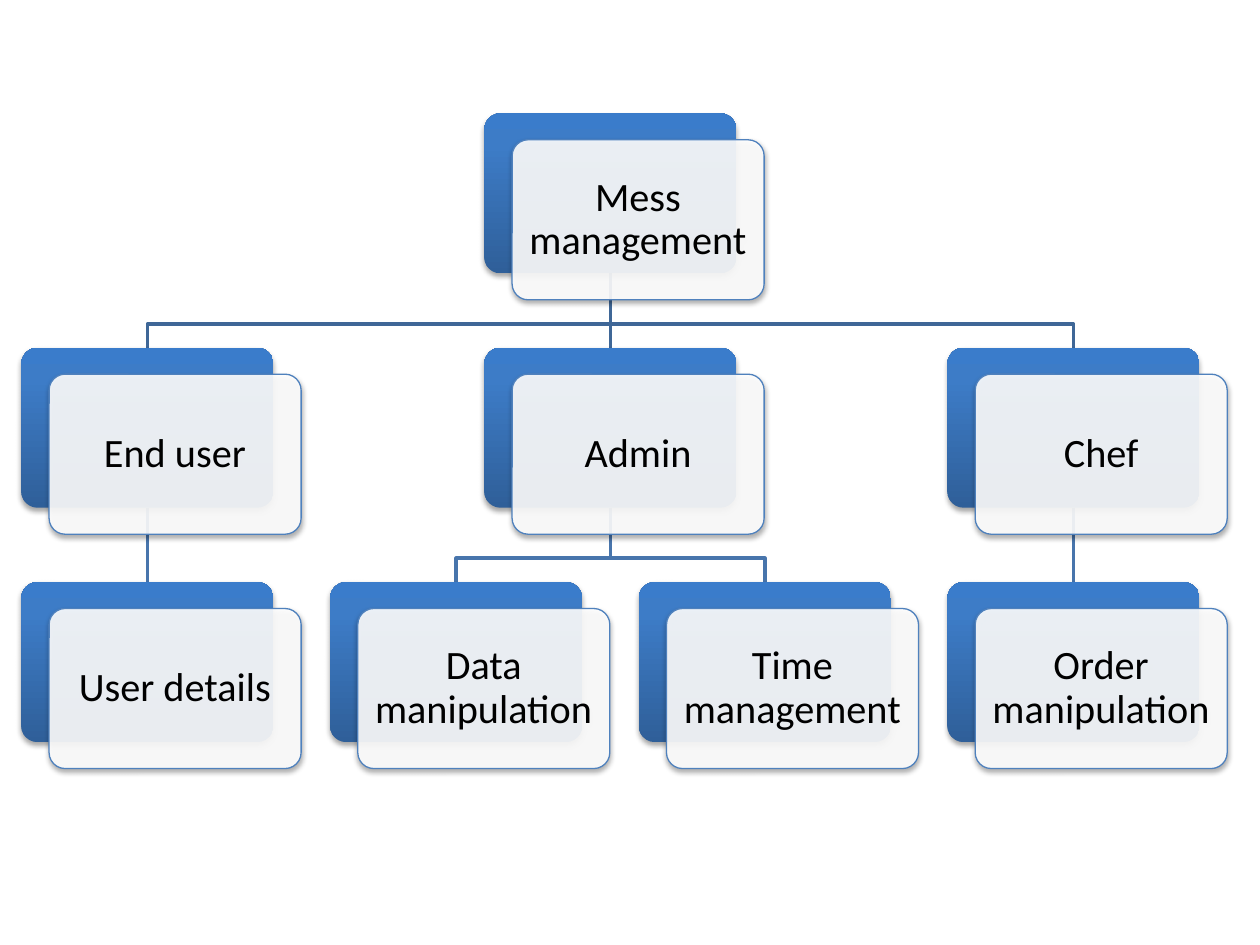
"""Build an organisation chart slide for mess management."""
from dataclasses import dataclass
from typing import Optional

from lxml.etree import SubElement
from pptx import Presentation
from pptx.dml.color import RGBColor
from pptx.enum.shapes import MSO_CONNECTOR, MSO_SHAPE
from pptx.enum.text import MSO_ANCHOR, PP_ALIGN
from pptx.oxml.ns import qn
from pptx.shapes.autoshape import Shape
from pptx.slide import Slide
from pptx.util import Inches, Pt

BLACK = RGBColor(0x00, 0x00, 0x00)
WHITE = RGBColor(0xFF, 0xFF, 0xFF)
CARD_BORDER = RGBColor(0x4F, 0x81, 0xBD)
LINK_COLORS = (RGBColor(0x3F, 0x67, 0x97), RGBColor(0x48, 0x75, 0xAC))
GRADIENT_STOPS = (
    (0, RGBColor(0x2F, 0x5F, 0x99)),
    (80, RGBColor(0x3D, 0x7C, 0xC7)),
    (100, RGBColor(0x3A, 0x7C, 0xCB)),
)

LEFT, TOP = 0.17, 0.9
COLUMN_PITCH, ROW_PITCH = 2.45, 1.86
BOX_WIDTH, BOX_HEIGHT = 2.0, 1.27
CARD_OFFSET_X, CARD_OFFSET_Y = 0.22, 0.21
BEND_DROP = 0.4


@dataclass(frozen=True)
class Node:
    label: str
    column: float
    row: int
    parent: Optional["Node"] = None

    @property
    def left(self) -> float:
        return LEFT + self.column * COLUMN_PITCH

    @property
    def top(self) -> float:
        return TOP + self.row * ROW_PITCH

    @property
    def center(self) -> float:
        return self.left + BOX_WIDTH / 2


ROOT = Node("Mess management", 1.5, 0)
END_USER = Node("End user", 0, 1, ROOT)
ADMIN = Node("Admin", 1.5, 1, ROOT)
CHEF = Node("Chef", 3, 1, ROOT)
NODES = (
    ROOT,
    END_USER,
    Node("User details", 0, 2, END_USER),
    ADMIN,
    Node("Data manipulation", 1, 2, ADMIN),
    Node("Time management", 2, 2, ADMIN),
    CHEF,
    Node("Order manipulation", 3, 2, CHEF),
)


def add_link(slide: Slide, parent: Node, child: Node) -> None:
    start_y = parent.top + BOX_HEIGHT
    start = Inches(parent.center), Inches(start_y)
    end = Inches(child.center), Inches(child.top)
    if parent.column == child.column:
        link = slide.shapes.add_connector(MSO_CONNECTOR.STRAIGHT, *start, *end)
        SubElement(link._element.spPr, qn("a:effectLst"))
    else:
        bend_y = Inches(start_y + BEND_DROP)
        builder = slide.shapes.build_freeform(*start)
        builder.add_line_segments([(start[0], bend_y), (end[0], bend_y), end], close=False)
        link = builder.convert_to_shape()
        link.fill.background()
        link.shadow.inherit = False
    link.line.color.rgb = LINK_COLORS[parent.row]
    link.line.width = Pt(2)


def add_shadow(shape: Shape) -> None:
    shape.shadow.inherit = False
    effects = shape._element.spPr.find(qn("a:effectLst"))
    shadow = SubElement(effects, qn("a:outerShdw"), blurRad=str(Pt(3.1)),
                        dist=str(Pt(1.8)), dir="5400000", rotWithShape="0")
    color = SubElement(shadow, qn("a:srgbClr"), val=str(BLACK))
    SubElement(color, qn("a:alpha"), val="35000")


def add_box(slide: Slide, left: float, top: float) -> Shape:
    box = slide.shapes.add_shape(MSO_SHAPE.ROUNDED_RECTANGLE, Inches(left), Inches(top),
                                 Inches(BOX_WIDTH), Inches(BOX_HEIGHT))
    box.adjustments[0] = 0.1
    add_shadow(box)
    return box


def fill_gradient(shape: Shape) -> None:
    shape.fill.gradient()
    shape.fill.gradient_angle = 90
    stops = shape._element.spPr.find(qn("a:gradFill")).find(qn("a:gsLst"))
    for stop in list(stops):
        stops.remove(stop)
    for position, color in GRADIENT_STOPS:
        stop = SubElement(stops, qn("a:gs"), pos=str(position * 1000))
        SubElement(stop, qn("a:srgbClr"), val=str(color))


def add_node(slide: Slide, node: Node) -> None:
    back = add_box(slide, node.left, node.top)
    fill_gradient(back)
    back.line.fill.background()

    card = add_box(slide, node.left + CARD_OFFSET_X, node.top + CARD_OFFSET_Y)
    card.fill.solid()
    card.fill.fore_color.rgb = WHITE
    color = card._element.spPr.find(qn("a:solidFill")).find(qn("a:srgbClr"))
    SubElement(color, qn("a:alpha"), val="90000")
    card.line.color.rgb = CARD_BORDER
    card.line.width = Pt(0.75)

    frame = card.text_frame
    frame.word_wrap = True
    frame.vertical_anchor = MSO_ANCHOR.MIDDLE
    frame.margin_left = frame.margin_right = Inches(0.09)
    frame.margin_top = frame.margin_bottom = Inches(0.09)
    paragraph = frame.paragraphs[0]
    paragraph.text = node.label
    paragraph.alignment = PP_ALIGN.CENTER
    paragraph.line_spacing = 0.9
    paragraph.font.name = "Calibri"
    paragraph.font.size = Pt(23)
    paragraph.font.color.rgb = BLACK


def main() -> None:
    presentation = Presentation()
    presentation.slide_width = Inches(10)
    presentation.slide_height = Inches(7.5)
    slide = presentation.slides.add_slide(presentation.slide_layouts[6])
    for node in NODES:
        if node.parent:
            add_link(slide, node.parent, node)
    for node in NODES:
        add_node(slide, node)
    presentation.save("out.pptx")


main()
